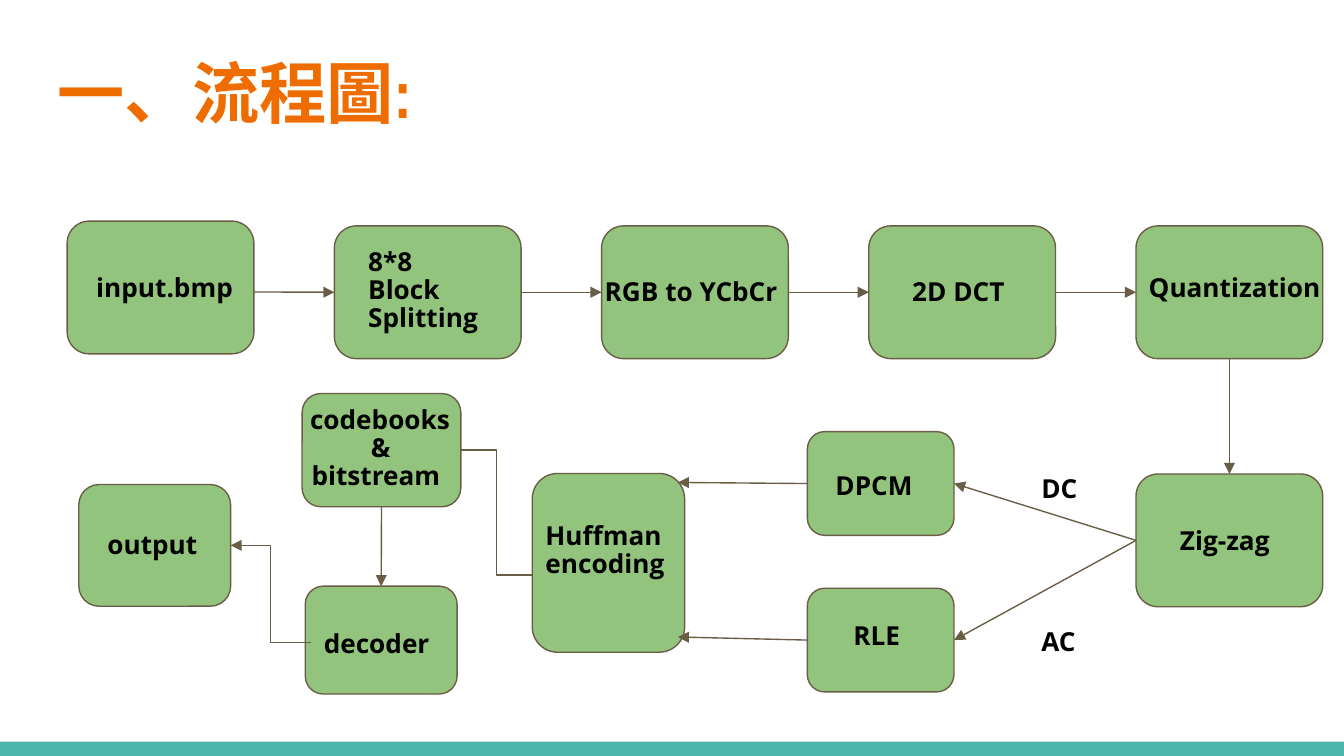
from dataclasses import dataclass

import pptx
import pptx.dml.color
import pptx.enum.shapes
import pptx.enum.text
import pptx.oxml
import pptx.oxml.ns
import pptx.util

Cm = pptx.util.Cm
TOP, LEFT, BOTTOM, RIGHT = range(4)


@dataclass(frozen=True)
class Theme:
    title: str = "EF6C00"
    bar: str = "4DB6AC"
    node: str = "93C47D"
    line: str = "695D46"
    text: str = "000000"
    title_font: str = "Arial Narrow"
    body_font: str = "Open Sans"
    title_size: int = 36
    body_size: int = 14
    line_width: float = 0.75


THEME = Theme()

STEP_W, STEP_H, STEP_TOP = 3.53, 2.51, 4.27
STEPS = ["input", "split", "colour", "dct", "quantize"]

# left, top, width, height in cm
NODES = {name: (1.27 + 5.05 * i, STEP_TOP, STEP_W, STEP_H) for i, name in enumerate(STEPS)}
NODES |= {
    "input": (1.27, 4.18, STEP_W, STEP_H),
    "zigzag": (21.47, 8.96, STEP_W, STEP_H),
    "dpcm": (15.26, 8.16, 2.77, 1.96),
    "rle": (15.26, 11.12, 2.77, 1.96),
    "huffman": (10.06, 8.95, 2.88, 3.38),
    "output": (1.49, 9.16, 2.87, 2.3),
    "codebooks": (5.71, 7.44, 3, 2.14),
    "decoder": (5.77, 11.08, 2.87, 2.04),
}

# paragraphs, box in cm
LABELS = [
    (["input.bmp"], (1.57, 4.95, 3.25, 1.12)),
    (["8*8 Block", "Splitting"], (6.71, 4.45, 2.77, 2.13)),
    (["RGB to YCbCr"], (11.18, 5.03, 4.52, 0.94)),
    (["2D DCT"], (16.99, 5.03, 2.77, 0.94)),
    (["Quantization"], (21.46, 4.95, 3.94, 1.12)),
    (["Zig-zag"], (22.05, 9.73, 2.77, 0.94)),
    (["DC"], (19.43, 8.74, 1.52, 0.94)),
    (["AC"], (19.43, 11.63, 1.52, 0.94)),
    (["DPCM"], (15.54, 8.69, 2.18, 0.94)),
    (["RLE"], (15.88, 11.53, 1.52, 1.12)),
    (["Huffman", "encoding"], (10.06, 9.63, 3.25, 2.51)),
    (["output"], (1.78, 9.8, 2.54, 1.07)),
    (["codebooks", "&"], (5.61, 7.44, 3.61, 1.42)),
    (["decoder"], (5.87, 11.68, 2.77, 0.94)),
    (["bitstream"], (5.64, 8.51, 3, 0.94)),
]
INDENTS = {"&": 1.15}

# An end is either (node, side) or a point in cm
ARROWS = [
    ((4.8, 5.52), ("split", LEFT)),
    *[((a, RIGHT), (b, LEFT)) for a, b in zip(STEPS[1:], STEPS[2:])],
    (("quantize", BOTTOM), ("zigzag", TOP)),
    (("zigzag", LEFT), ("dpcm", RIGHT)),
    (("zigzag", LEFT), ("rle", RIGHT)),
    (("dpcm", LEFT), (12.81, 9.12)),
    (("rle", LEFT), (12.81, 12.04)),
    (("codebooks", BOTTOM), ("decoder", TOP)),
]

# start, end, arrowhead
ELBOWS = [
    ((10.06, 10.87), (8.71, 8.51), False),
    ((5.88, 12.15), (4.36, 10.31), True),
]


def rgb(value):
    return pptx.dml.color.RGBColor.from_string(value)


def set_attributes(target, values):
    for name, value in values.items():
        setattr(target, name, value)


def write(tf, paragraphs, font, size, color):
    set_attributes(tf, {
        "word_wrap": True,
        "auto_size": pptx.enum.text.MSO_AUTO_SIZE.NONE,
        "vertical_anchor": pptx.enum.text.MSO_ANCHOR.TOP,
        **{f"margin_{side}": Cm(0.25) for side in ("left", "top", "right", "bottom")},
    })
    for i, text in enumerate(paragraphs):
        p = tf.add_paragraph() if i else tf.paragraphs[0]
        set_attributes(p, {"alignment": pptx.enum.text.PP_ALIGN.LEFT, "line_spacing": 0.9})
        if text in INDENTS:
            p._p.get_or_add_pPr().set("marL", str(Cm(INDENTS[text])))
        r = p.add_run()
        r.text = text
        set_attributes(r.font, {"name": font, "size": pptx.util.Pt(size), "bold": True})
        r.font.color.rgb = rgb(color)


def add_title(s, text):
    sp = s.shapes.title
    set_attributes(sp, {"left": Cm(0.84), "top": Cm(0.89), "width": Cm(23.67), "height": Cm(1.96)})
    write(sp.text_frame, [text], THEME.title_font, THEME.title_size, THEME.title)


def add_label(s, paragraphs, box):
    sp = s.shapes.add_textbox(*map(Cm, box))
    write(sp.text_frame, paragraphs, THEME.body_font, THEME.body_size, THEME.text)


def set_line(line):
    line.color.rgb = rgb(THEME.line)
    line.width = pptx.util.Pt(THEME.line_width)


def add_bar(s, box):
    sp = s.shapes.add_shape(pptx.enum.shapes.MSO_SHAPE.RECTANGLE, *map(Cm, box))
    sp.shadow.inherit = False
    sp.fill.solid()
    sp.fill.fore_color.rgb = rgb(THEME.bar)
    sp.line.fill.background()


def add_node(s, box):
    sp = s.shapes.add_shape(pptx.enum.shapes.MSO_SHAPE.ROUNDED_RECTANGLE, *map(Cm, box))
    sp.shadow.inherit = False
    sp.fill.solid()
    sp.fill.fore_color.rgb = rgb(THEME.node)
    set_line(sp.line)
    return sp


def add_line(s, kind, start, end, head=True):
    cxn = s.shapes.add_connector(kind, *map(Cm, (*start, *end)))
    set_line(cxn.line)
    if head:
        tail = pptx.oxml.parse_xml(f'<a:tailEnd {pptx.oxml.ns.nsdecls("a")} type="triangle"/>')
        cxn.line._get_or_add_ln().append(tail)
    cxn._element.spPr.append(pptx.oxml.parse_xml(f'<a:effectLst {pptx.oxml.ns.nsdecls("a")}/>'))
    return cxn


def add_arrow(s, nodes, start, end):
    """Draw a straight arrow and join each end that names a node."""
    joined = [isinstance(point[0], str) for point in (start, end)]
    points = [(0, 0) if join else point for point, join in zip((start, end), joined)]
    cxn = add_line(s, pptx.enum.shapes.MSO_CONNECTOR.STRAIGHT, *points)
    for point, join, connect in zip((start, end), joined, (cxn.begin_connect, cxn.end_connect)):
        if join:
            connect(nodes[point[0]], point[1])


def main():
    prs = pptx.Presentation()
    set_attributes(prs, {"slide_width": Cm(25.4), "slide_height": Cm(14.29)})
    s = prs.slides.add_slide(prs.slide_layouts[5])
    add_bar(s, (0, 14.02, 25.4, 0.27))
    add_title(s, "一、流程圖:")
    nodes = {name: add_node(s, box) for name, box in NODES.items()}
    for start, end in ARROWS:
        add_arrow(s, nodes, start, end)
    for start, end, head in ELBOWS:
        add_line(s, pptx.enum.shapes.MSO_CONNECTOR.ELBOW, start, end, head)
    for paragraphs, box in LABELS:
        add_label(s, paragraphs, box)
    prs.save("out.pptx")


if __name__ == "__main__":
    main()
